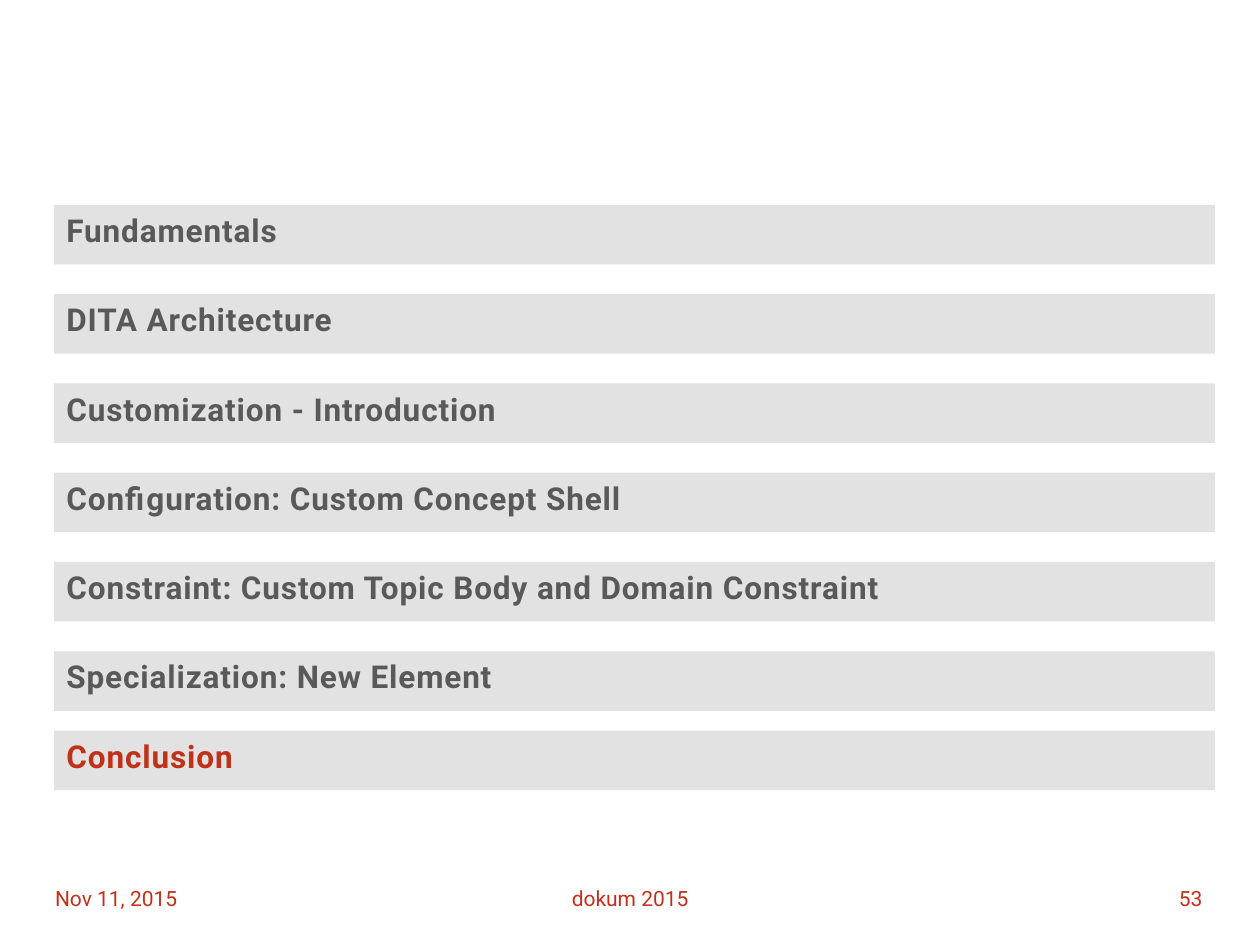
from pptx import Presentation
from pptx import util as u
from pptx.dml.color import RGBColor
from pptx.enum import shapes, text

RED, GREY, BAND = "C0311A", "595959", "E2E2E2"
CHAPTERS = [
    "Fundamentals",
    "DITA Architecture",
    "Customization - Introduction",
    "Configuration: Custom Concept Shell",
    "Constraint: Custom Topic Body and Domain Constraint",
    "Specialization: New Element",
]
CURRENT = "Conclusion"
FOOTERS = [
    ("Nov 11, 2015", 0.86, 5.92, text.PP_ALIGN.LEFT),
    ("dokum 2015", 8.97, 7.47, text.PP_ALIGN.CENTER),
    ("53", 18.57, 5.92, text.PP_ALIGN.RIGHT),
]
BAR_LEFT, BAR_TOP, BAR_WIDTH, BAR_HEIGHT = 1.09, 4.13, 23.4, 1.2
BAR_STEP, CURRENT_TOP = 1.8, 14.73
FOOTER_TOP, FOOTER_HEIGHT = 17.6, 1.02


def paint(color_format, value):
    color_format.rgb = RGBColor.from_string(value)


def write(box, words, size, color, bold=False, spacing=0,
          align=text.PP_ALIGN.LEFT, anchor=text.MSO_ANCHOR.TOP):
    frame = box.text_frame
    frame.word_wrap = True
    frame.vertical_anchor = anchor
    para = frame.paragraphs[0]
    para.alignment = align
    span = para.add_run()
    span.text = words
    span.font.name = "Roboto"
    span.font.size = u.Pt(size)
    span.font.bold = bold
    paint(span.font.color, color)
    if spacing:
        span.font._element.set("spc", str(round(spacing * 100)))


def add_bar(slide, words, top, color):
    bar = slide.shapes.add_shape(
        shapes.MSO_SHAPE.RECTANGLE,
        u.Cm(BAR_LEFT), u.Cm(top), u.Cm(BAR_WIDTH), u.Cm(BAR_HEIGHT))
    bar.shadow.inherit = False
    bar.fill.solid()
    paint(bar.fill.fore_color, BAND)
    bar.line.fill.background()
    write(bar, words, 18, color, bold=True, spacing=0.5)


def main():
    deck = Presentation()
    deck.slide_width, deck.slide_height = u.Cm(25.4), u.Cm(19.05)
    slide = deck.slides.add_slide(deck.slide_layouts.get_by_name("Blank"))
    for words, left, width, align in FOOTERS:
        box = slide.shapes.add_textbox(
            u.Cm(left), u.Cm(FOOTER_TOP), u.Cm(width), u.Cm(FOOTER_HEIGHT))
        write(box, words, 12, RED, align=align, anchor=text.MSO_ANCHOR.MIDDLE)
    for index, chapter in enumerate(CHAPTERS):
        add_bar(slide, chapter, BAR_TOP + index * BAR_STEP, GREY)
    add_bar(slide, CURRENT, CURRENT_TOP, RED)
    deck.save("out.pptx")


if __name__ == "__main__":
    main()
